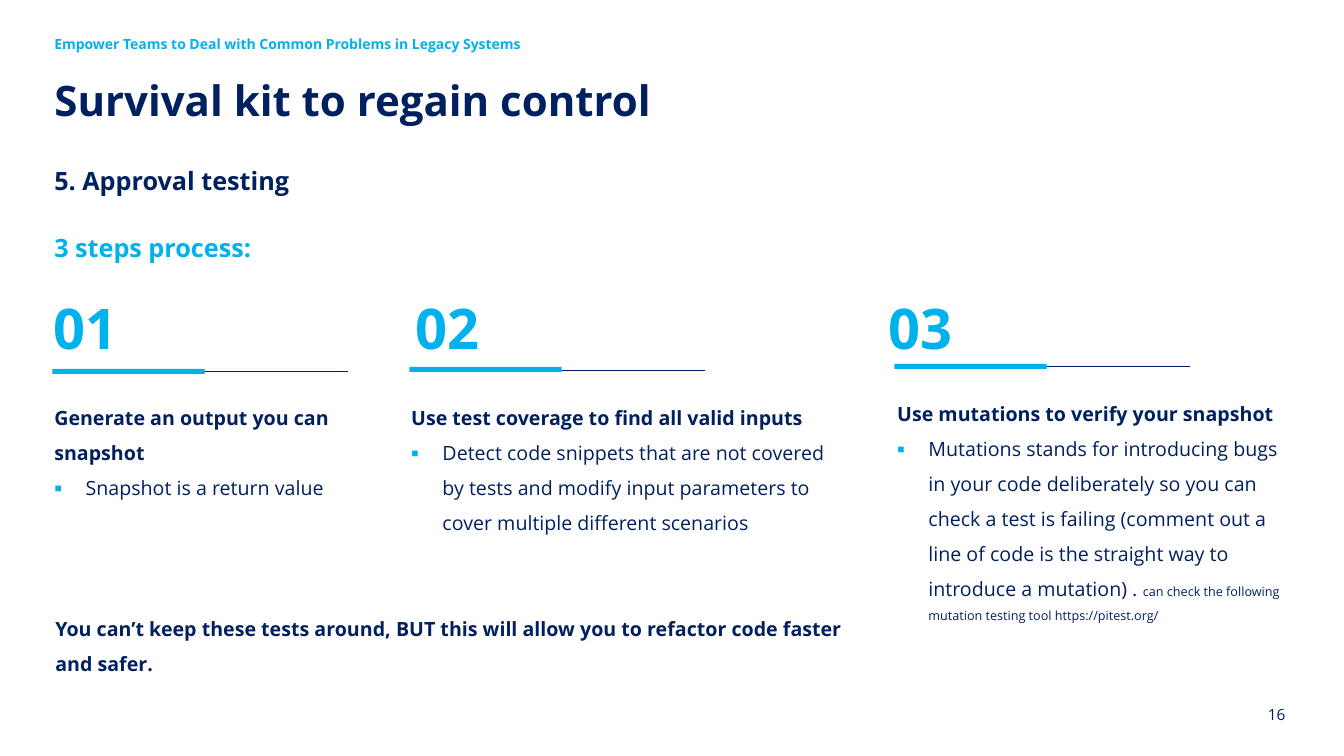
from lxml import etree
from pptx import Presentation
from pptx.dml.color import RGBColor
from pptx.enum.shapes import MSO_CONNECTOR, MSO_SHAPE
from pptx.enum.text import MSO_ANCHOR, MSO_AUTO_SIZE, PP_ALIGN
from pptx.oxml.ns import qn
from pptx.util import Inches, Pt

NAVY = RGBColor(0x00, 0x20, 0x60)
CYAN = RGBColor(0x00, 0xB1, 0xEC)
WHITE = RGBColor(0xFF, 0xFF, 0xFF)
FONT = "Open Sans"
LEFT, CENTER, RIGHT = PP_ALIGN.LEFT, PP_ALIGN.CENTER, PP_ALIGN.RIGHT
TOP, MIDDLE = MSO_ANCHOR.TOP, MSO_ANCHOR.MIDDLE
FIXED = MSO_AUTO_SIZE.NONE
RECT, STRAIGHT = MSO_SHAPE.RECTANGLE, MSO_CONNECTOR.STRAIGHT

TITLE = "Survival kit to regain control"
LABELS = [
    ("Empower Teams to Deal with Common Problems in Legacy Systems",
     (0.44, 0.3, 5.2, 0.27), 10, CYAN, 1),
    ("5. Approval testing", (0.44, 1.59, 2.63, 0.4), 18, NAVY, 1),
    ("3 steps process:", (0.44, 2.21, 4.91, 0.4), 18, CYAN, 1.16),
    ("You can’t keep these tests around, BUT this will allow you to "
     "refactor code faster and safer.",
     (0.45, 5.96, 8.18, 0.67), 14, NAVY, 1.49),
]
STEPS = [
    {"num": "01", "head": "Generate an output you can snapshot",
     "point": "Snapshot is a return value", "note": "",
     "num_x": -0.58, "rule": (0.59, 3.69), "bar_y": 3.66,
     "box": (0.44, 3.86, 3.68, 0.96)},
    {"num": "02", "head": "Use test coverage to find all valid inputs",
     "point": "Detect code snippets that are not covered by tests and modify "
              "input parameters to cover multiple different scenarios",
     "note": "",
     "num_x": 3.01, "rule": (4.13, 3.68), "bar_y": 3.64,
     "box": (3.98, 3.86, 4.51, 1.55)},
    {"num": "03", "head": "Use mutations to verify your snapshot",
     "point": "Mutations stands for introducing bugs in your code "
              "deliberately so you can check a test is failing (comment out "
              "a line of code is the straight way to introduce a mutation) . ",
     "note": "can check the following mutation testing tool "
             "https://pitest.org/",
     "num_x": 7.7, "rule": (8.94, 3.64), "bar_y": 3.61,
     "box": (8.8, 3.82, 4.09, 2.43)},
]
NUM_Y, NUM_H = 3.16, 0.46
RULE_W = 2.86
BAR_W, BAR_H, BAR_DX = 1.51, 0.05, -0.07


def style(para, size, color, bold=True, gap=1, align=LEFT):
    """Format one paragraph."""
    para.alignment = align
    para.line_spacing = gap
    font = para.font
    font.name, font.size, font.bold = FONT, Pt(size), bold
    font.color.rgb = color


def add_box(slide, at):
    """Add a wrapping text box and return its frame."""
    frame = slide.shapes.add_textbox(*map(Inches, at)).text_frame
    frame.word_wrap = True
    return frame


def add_label(slide, text, at, size, color, gap=1, bold=True, align=LEFT):
    """Add a box with one paragraph and return its frame."""
    frame = add_box(slide, at)
    frame.text = text
    style(frame.paragraphs[0], size, color, bold, gap, align)
    return frame


def add_bullet(para):
    """Give a paragraph a square cyan bullet and a hanging indent."""
    props = para._p.get_or_add_pPr()
    props.set("marL", str(Inches(0.31)))
    props.set("indent", str(-Inches(0.31)))
    tint = etree.SubElement(props, qn("a:buClr"))
    etree.SubElement(tint, qn("a:srgbClr"), val=str(CYAN))
    etree.SubElement(props, qn("a:buFont"), typeface=FONT)
    etree.SubElement(props, qn("a:buChar"), char="▪")


def add_title(slide):
    """Place and format the title."""
    title = slide.shapes.title
    title.left, title.top = Inches(0.44), Inches(0.69)
    title.width, title.height = Inches(6.45), Inches(0.61)
    frame = title.text_frame
    frame.text = TITLE
    frame.auto_size, frame.vertical_anchor = FIXED, TOP
    style(frame.paragraphs[0], 30, NAVY)


def add_step(slide, step):
    """Draw one step: number, rule, bar and text."""
    add_label(slide, step["num"], (step["num_x"], NUM_Y, RULE_W, NUM_H),
              40, CYAN, 0.49, align=CENTER)
    x, y = step["rule"]
    rule = slide.shapes.add_connector(
        STRAIGHT, Inches(x), Inches(y), Inches(x + RULE_W), Inches(y))
    rule.line.color.rgb, rule.line.width = NAVY, Pt(0.75)
    etree.SubElement(rule._element.spPr, qn("a:effectLst"))
    bar = slide.shapes.add_shape(
        RECT, Inches(x + BAR_DX), Inches(step["bar_y"]),
        Inches(BAR_W), Inches(BAR_H))
    bar.shadow.inherit = False
    bar.fill.solid()
    bar.fill.fore_color.rgb = CYAN
    bar.line.fill.background()
    frame = add_box(slide, step["box"])
    head = frame.paragraphs[0]
    head.text = step["head"]
    style(head, 14, NAVY, gap=1.49)
    point = frame.add_paragraph()
    point.text = step["point"]
    add_bullet(point)
    style(point, 14, NAVY, False, 1.49)
    if step["note"]:
        note = point.add_run()
        note.text = step["note"]
        note.font.size = Pt(9)


def main():
    """Build the slide and save it."""
    deck = Presentation()
    deck.slide_width, deck.slide_height = Inches(13.33), Inches(7.5)
    slide = deck.slides.add_slide(deck.slide_layouts[5])
    fill = slide.background.fill
    fill.solid()
    fill.fore_color.rgb = WHITE
    add_title(slide)
    for label in LABELS:
        add_label(slide, *label)
    for step in STEPS:
        add_step(slide, step)
    page = add_label(slide, "16", (12.45, 6.99, 0.3, 0.19), 11, NAVY,
                     bold=False, align=RIGHT)
    page.vertical_anchor = MIDDLE
    page.margin_left = page.margin_right = 0
    page.margin_top = page.margin_bottom = 0
    deck.save("out.pptx")


if __name__ == "__main__":
    main()
